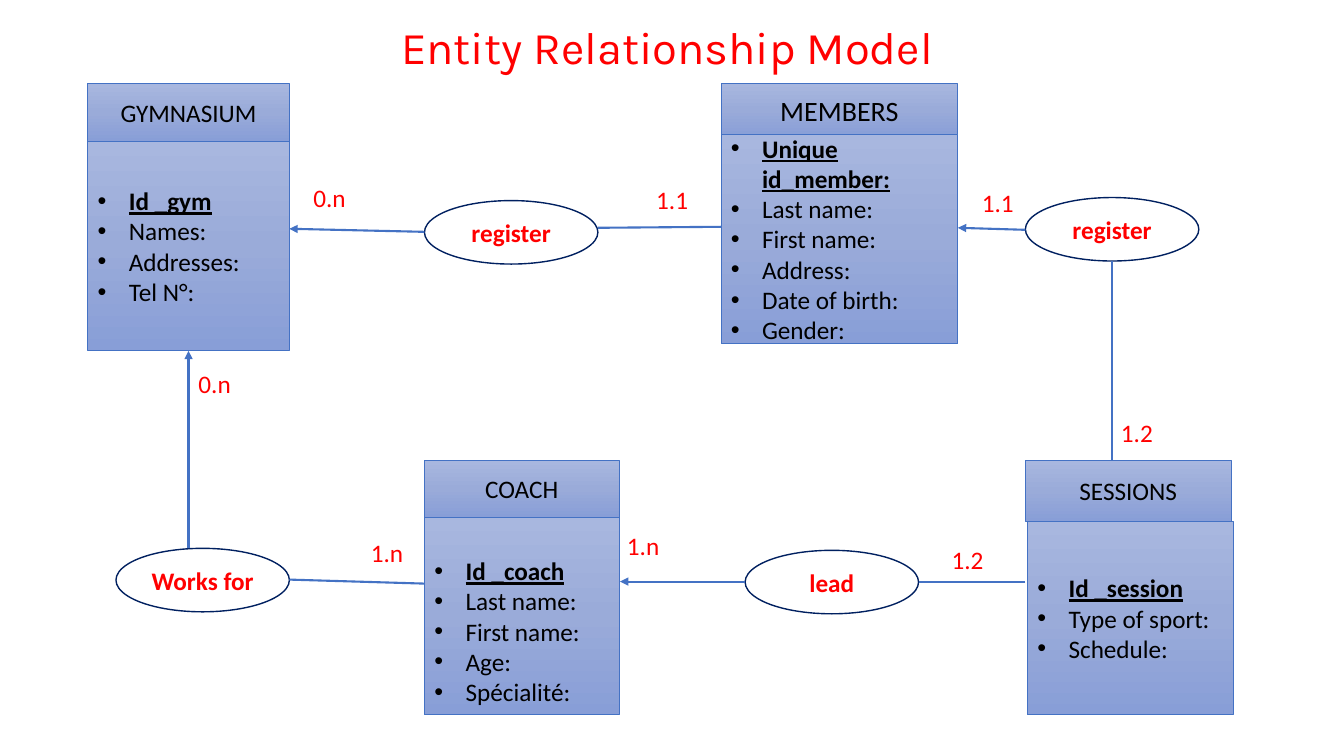
from copy import deepcopy
from dataclasses import dataclass

from lxml.etree import SubElement
from pptx import Presentation
from pptx.dml.color import RGBColor as RGB
from pptx.enum.shapes import MSO_CONNECTOR as CONNECTOR, MSO_SHAPE as SHAPE
from pptx.enum.text import MSO_ANCHOR as ANCHOR, MSO_AUTO_SIZE as AUTO_SIZE, PP_ALIGN as ALIGN
from pptx.oxml.ns import qn
from pptx.util import Emu, Pt

EMU_PER_PX = 9144  # 100 px to the inch


@dataclass(frozen=True)
class Theme:
    title_font: str = "Karla"
    body_font: str = "Calibri"
    title_size: float = 32.4
    head_size: int = 20
    text_size: int = 18
    red: str = "FF0000"
    ink: str = "000000"
    white: str = "FFFFFF"
    blue: str = "4472C4"
    navy: str = "002060"
    gold: str = "FFC000"
    gradient: tuple = ("A8B7DF", "9AABD9", "889ED7")


THEME = Theme()


def px(length):
    return Emu(length * EMU_PER_PX)


def add_run(paragraph, text, size=THEME.text_size, color=THEME.ink, font=THEME.body_font,
            bold=False, underline=False):
    run = paragraph.add_run()
    run.text = text
    run.font.name, run.font.size = font, Pt(size)
    run.font.bold, run.font.underline = bold, underline
    run.font.color.rgb = RGB.from_string(color)
    return run


def add_text(slide, box, text, align=ALIGN.LEFT, **style):
    label = slide.shapes.add_textbox(*map(px, box))
    frame = label.text_frame
    frame.word_wrap = True
    frame.paragraphs[0].alignment = align
    add_run(frame.paragraphs[0], text, **style)
    return frame


def add_node(slide, preset, box, border, width):
    node = slide.shapes.add_shape(preset, *map(px, box))
    node.shadow.inherit = False
    node.line.color.rgb = RGB.from_string(border)
    node.line.width = Pt(width)
    node.text_frame.word_wrap = True
    node.text_frame.vertical_anchor = ANCHOR.MIDDLE
    return node


def add_panel(slide, box):
    panel = add_node(slide, SHAPE.RECTANGLE, box, THEME.blue, 0.5)
    panel.fill.gradient()
    panel.fill.gradient_angle = 270
    # A middle stop joins the two default ones
    first = next(panel._element.spPr.iter(qn("a:gs")))
    first.addnext(deepcopy(first))
    for index, (stop, color) in enumerate(zip(panel.fill.gradient_stops, THEME.gradient)):
        stop.position = index / 2
        stop.color.rgb = RGB.from_string(color)
    return panel


def add_bullet(paragraph):
    paragraph.alignment = ALIGN.LEFT
    props = paragraph._p.get_or_add_pPr()
    props.set("marL", str(px(31)))
    props.set("indent", str(px(-31)))
    SubElement(props, qn("a:buFont"), typeface="Arial")
    SubElement(props, qn("a:buChar"), char="•")


def add_entity(slide, name, head_box, body_box, key, fields, head_size=THEME.text_size, top_gap=0):
    head = add_panel(slide, head_box)
    title = head.text_frame.paragraphs[0]
    title.alignment = ALIGN.CENTER
    add_run(title, name, size=head_size)

    body = add_panel(slide, body_box)
    frame = body.text_frame
    frame.margin_top = px(5 + top_gap)
    for index, field in enumerate((key, *fields)):
        line = frame.add_paragraph() if index else frame.paragraphs[0]
        add_bullet(line)
        is_key = index == 0
        add_run(line, field, bold=is_key, underline=is_key)
    return body


def add_relation(slide, name, left, top):
    oval = add_node(slide, SHAPE.OVAL, (left, top, 172, 63), THEME.navy, 1)
    oval.fill.solid()
    oval.fill.fore_color.rgb = RGB.from_string(THEME.white)
    paragraph = oval.text_frame.paragraphs[0]
    paragraph.alignment = ALIGN.CENTER
    run = add_run(paragraph, name, color=THEME.red, bold=True)
    # Thin gold outline around the letters
    props = run.font._element
    outline = SubElement(props, qn("a:ln"), w=str(Pt(1)))
    SubElement(SubElement(outline, qn("a:solidFill")), qn("a:srgbClr"), val=THEME.gold)
    props.insert(0, outline)


def add_link(slide, start, end, arrow=False):
    link = slide.shapes.add_connector(CONNECTOR.STRAIGHT, *map(px, (*start, *end)))
    link.line.color.rgb = RGB.from_string(THEME.blue)
    link.line.width = Pt(1.5)
    if arrow:
        SubElement(link.line._get_or_add_ln(), qn("a:tailEnd"), type="triangle")
    SubElement(link._element.spPr, qn("a:effectLst"))
    return link


def add_cardinality(slide, text, left, top):
    frame = add_text(slide, (left, top, 60, 40), text, color=THEME.red)
    frame.auto_size = AUTO_SIZE.SHAPE_TO_FIT_TEXT


def main():
    deck = Presentation()
    deck.slide_width, deck.slide_height = px(1333), px(750)
    slide = deck.slides.add_slide(deck.slide_layouts[6])

    # Title
    title = add_text(slide, (167, 19, 1000, 60), "Entity Relationship Model ", ALIGN.CENTER,
                     size=THEME.title_size, color=THEME.red, font=THEME.title_font)
    title.vertical_anchor = ANCHOR.BOTTOM
    title.paragraphs[0].line_spacing = 0.9

    # Entities
    gymnasium = add_entity(slide, "GYMNASIUM", (87, 83, 200, 57), (87, 140, 200, 208),
                           "Id _gym", ("Names:", "Addresses:", "Tel N°:"))
    add_entity(slide, "MEMBERS", (715, 83, 235, 53), (715, 133, 235, 208), "Unique id_member:",
               ("Last name:", "First name:", "Address:", "Date of birth:", "Gender:"),
               head_size=THEME.head_size)
    add_entity(slide, "COACH", (421, 457, 193, 56), (421, 513, 193, 196), "Id _coach",
               ("Last name:", "First name:", "Age:", "Spécialité:"), top_gap=30)
    add_entity(slide, "SESSIONS", (1017, 457, 204, 60), (1019, 517, 204, 192),
               "Id _session", ("Type of sport:", "Schedule:"))

    # Relations
    for name, left, top in (("register", 421, 199), ("Works for", 115, 544),
                            ("register", 1017, 196), ("lead", 739, 546)):
        add_relation(slide, name, left, top)

    # Links with an arrowhead
    for start, end in (((421, 230), (287, 227)), ((1017, 228), (950, 226)),
                       ((739, 577), (615, 577))):
        add_link(slide, start, end, arrow=True)
    employment = add_link(slide, (187, 544), (187, 348), arrow=True)
    employment.end_connect(gymnasium, 2)

    # Plain links
    for start, end in (((593, 226), (715, 225)), ((1103, 259), (1103, 457)),
                       ((1017, 577), (911, 577)), ((287, 575), (421, 579))):
        add_link(slide, start, end)

    # Cardinalities
    for text, left, top in (("0.n", 301, 176), ("1.1", 641, 178), ("1.1", 964, 181),
                            ("1.2", 934, 535), ("1.n", 612, 521), ("1.n", 358, 528),
                            ("0.n", 187, 361), ("1.2", 1102, 409)):
        add_cardinality(slide, text, left, top)

    deck.save("out.pptx")


if __name__ == "__main__":
    main()
